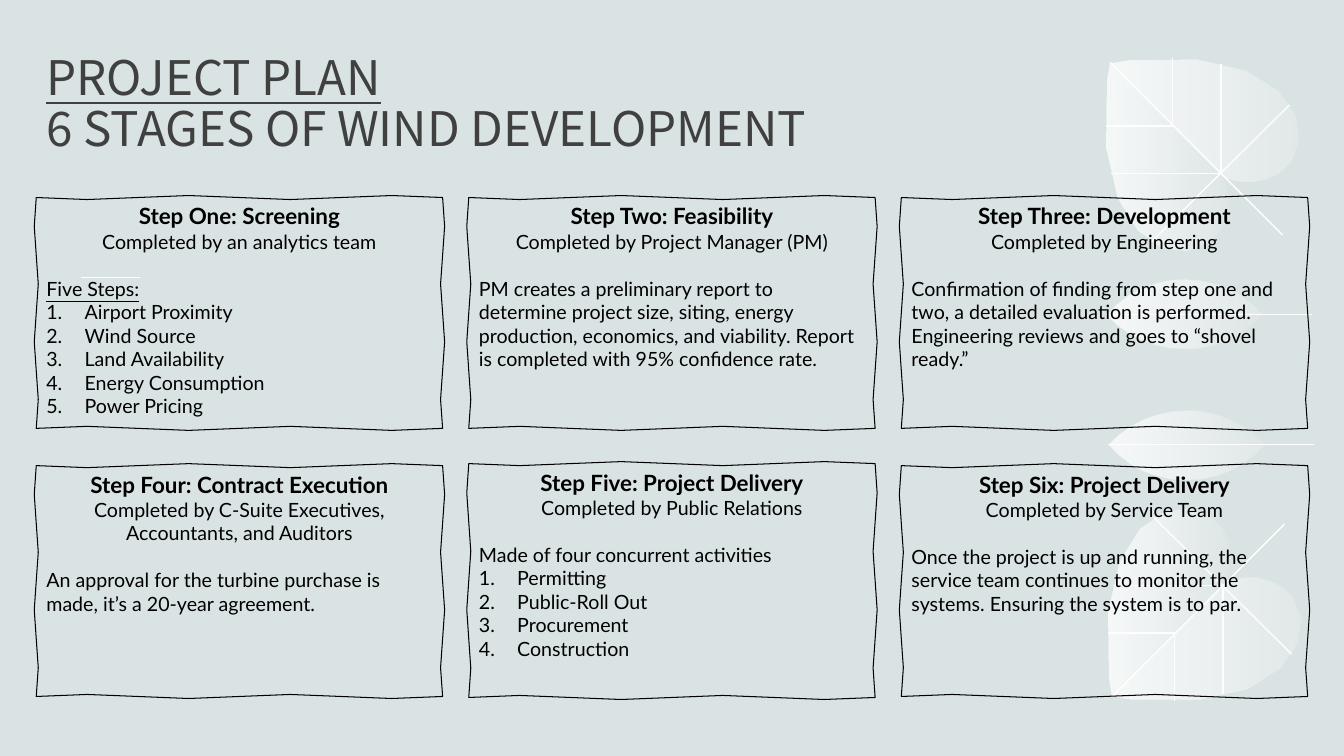
from math import pi, sin

from lxml.etree import SubElement as Sub
from pptx import Presentation
from pptx.dml.color import RGBColor
from pptx.enum.shapes import MSO_CONNECTOR as Link
from pptx.enum.text import MSO_ANCHOR as Anchor, MSO_AUTO_SIZE as Fit, PP_ALIGN as Align
from pptx.oxml.ns import qn
from pptx.util import Inches, Pt

PALE = RGBColor(0xDA, 0xE3, 0xE3)
WHITE = RGBColor(0xFF, 0xFF, 0xFF)
GREY = RGBColor(0x40, 0x40, 0x40)
BLACK = RGBColor(0, 0, 0)

VEINS = [
    (11.01, 0.62, 12.72, 2.33), (12.79, 1.04, 11.42, 2.4),
    (11.02, 1.72, 12.11, 1.72), (12.11, 1.72, 12.11, 0.64),
    (10.97, 1.25, 11.63, 1.25), (11.63, 1.25, 11.63, 0.58),
]
RIB = (10.97, 3.12, 13.01, 3.12)
BLADES = [
    (20, [(11.01, 0.63), (12.12, 1.74), (12.23, 1.78),
          (12.46, 1.83, 12.63, 1.77, 12.79, 1.61),
          (13.07, 1.24, 12.73, 0.44, 11.19, 0.6)]),
    (10, [(11.01, 0.62), (10.98, 0.8),
          (10.82, 2.34, 11.62, 2.69, 11.99, 2.4),
          (12.14, 2.3, 12.22, 2.1, 12.16, 1.84), (12.12, 1.74)]),
    (20, [(11.75, 2.77), (12.05, 2.77, 12.33, 2.9, 12.52, 3.12),
          (10.97, 3.12), (11.16, 2.9, 11.43, 2.77, 11.75, 2.77)]),
    (10, [(10.97, 3.12), (12.52, 3.12),
          (12.33, 3.33, 12.05, 3.46, 11.75, 3.46),
          (11.43, 3.46, 11.16, 3.33, 10.97, 3.12)]),
]
CARDS = [
    ("Step One: Screening", "Completed by an analytics team", "Five Steps:",
     ["Airport Proximity", "Wind Source", "Land Availability",
      "Energy Consumption", "Power Pricing"]),
    ("Step Two: Feasibility", "Completed by Project Manager (PM)",
     "PM creates a preliminary report to determine project size, siting, energy "
     "production, economics, and viability. Report is completed with 95% confidence rate.", []),
    ("Step Three: Development", "Completed by Engineering",
     "Confirmation of finding from step one and two, a detailed evaluation is performed. "
     "Engineering reviews and goes to “shovel ready.”", []),
    ("Step Four: Contract Execution",
     "Completed by C-Suite Executives, Accountants, and Auditors",
     "An approval for the turbine purchase is made, it’s a 20-year agreement.", []),
    ("Step Five: Project Delivery", "Completed by Public Relations",
     "Made of four concurrent activities",
     ["Permitting", "Public-Roll Out", "Procurement", "Construction"]),
    ("Step Six: Project Delivery", "Completed by Service Team",
     "Once the project is up and running, the service team continues to monitor "
     "the systems. Ensuring the system is to par.", []),
]


def trace(parts, steps=6):
    dots = []
    for part in parts:
        if len(part) == 2:
            dots.append(part)
            continue
        a, b, c, d = dots[-1], part[:2], part[2:4], part[4:]
        for i in range(1, steps + 1):
            t = i / steps
            u = 1 - t
            dots.append(tuple(
                u**3 * a[k] + 3 * u * u * t * b[k] + 3 * u * t * t * c[k] + t**3 * d[k]
                for k in (0, 1)))
    return dots


def frame(x, y, w, h, wave, steps=8):
    nodes = [(x, y), (x + w, y), (x + w, y + h), (x, y + h), (x, y)]
    dots = []
    for (ax, ay), (bx, by) in zip(nodes, nodes[1:]):
        for i in range(steps):
            t = i / steps
            off = wave * sin(4 * pi * t)
            dots.append((ax + (bx - ax) * t + (off if ax == bx else 0),
                         ay + (by - ay) * t + (off if ay == by else 0)))
    return dots


class Deck:
    font = "Lato"
    head = "Noto Sans CJK KR"
    wave = 0.02

    def __init__(self):
        self.prs = Presentation()
        self.prs.slide_width = Inches(13.33)
        self.prs.slide_height = Inches(7.5)
        self.slide = self.prs.slides.add_slide(self.prs.slide_layouts[5])
        self.slide.background.fill.solid()
        self.slide.background.fill.fore_color.rgb = PALE

    def title(self, top, low):
        box = self.slide.shapes.title
        box.left, box.top = Inches(0.36), Inches(0.42)
        box.width, box.height = Inches(12.61), Inches(1.19)
        text = box.text_frame
        text.auto_size = Fit.NONE
        text.vertical_anchor = Anchor.BOTTOM
        para = text.paragraphs[0]
        para.alignment = Align.LEFT
        para.line_spacing = 0.9
        run = para.add_run()
        run.text = top
        run.font.underline = True
        para.add_line_break()
        para.add_run().text = low
        self.ink(para, 34, GREY, self.head)

    def ink(self, para, size, color=BLACK, name=None):
        para.font.size = Pt(size)
        para.font.name = name or self.font
        para.font.color.rgb = color

    def line(self, ax, ay, bx, by):
        link = self.slide.shapes.add_connector(
            Link.STRAIGHT, Inches(ax), Inches(ay), Inches(bx), Inches(by))
        link.line.color.rgb = WHITE
        link.line.width = Pt(1)
        Sub(link._element.spPr, qn("a:effectLst"))

    def shape(self, dots):
        pts = [(Inches(x), Inches(y)) for x, y in dots]
        pen = self.slide.shapes.build_freeform(*pts[0])
        pen.add_line_segments(pts[1:], close=True)
        form = pen.convert_to_shape()
        form.shadow.inherit = False
        return form

    def blade(self, dots, fade):
        form = self.shape(dots)
        form.line.fill.background()
        form.fill.gradient()
        form.fill.gradient_angle = 0
        for stop in form.fill.gradient_stops:
            stop.color.rgb = WHITE
        for node, part in zip(form._element.spPr.iter(qn("a:srgbClr")), (80, fade)):
            Sub(node, qn("a:alpha")).set("val", str(part * 1000))

    def plant(self, flip):
        def turn(x, y):
            return (x + 0.02, 7.53 - y) if flip else (x, y)

        for vein in VEINS:
            self.line(*turn(*vein[:2]), *turn(*vein[2:]))
        for fade, parts in BLADES:
            self.blade([turn(*dot) for dot in trace(parts)], fade)
        self.line(*turn(*RIB[:2]), *turn(*RIB[2:]))

    def card(self, x, y, h, name, team, body, steps):
        form = self.shape(frame(x, y, 4.03, h, self.wave))
        form.fill.background()
        form.line.color.rgb = BLACK
        form.line.width = Pt(0.75)
        text = form.text_frame
        text.word_wrap = True
        text.vertical_anchor = Anchor.TOP
        text.margin_left = text.margin_right = Inches(0.1 + self.wave)
        text.margin_top = text.margin_bottom = Inches(0.05 + self.wave)
        for i, line in enumerate([name, team, body, *steps]):
            para = text.paragraphs[0] if i == 0 else text.add_paragraph()
            para.text = line
            para.alignment = Align.CENTER if i < 2 else Align.LEFT
            if i == 2:
                para.space_before = Pt(16.8)
            if i > 2:
                props = para._p.get_or_add_pPr()
                props.set("marL", str(Inches(0.38)))
                props.set("indent", str(-Inches(0.38)))
                Sub(props, qn("a:buFont")).set("typeface", "+mj-lt")
                Sub(props, qn("a:buAutoNum")).set("type", "arabicPeriod")
            self.ink(para, 14 if i else 16)
            para.font.bold = i == 0
            para.font.underline = line == "Five Steps:"


def main():
    deck = Deck()
    deck.title("PROJECT PLAN", "6 STAGES OF WIND DEVELOPMENT")
    for flip in (False, True):
        deck.plant(flip)
    deck.line(0.8, 2.75, 1.39, 2.75)
    for i, card in enumerate(CARDS):
        row, col = divmod(i, 3)
        y = 4.6 if i == 4 else (1.96, 4.62)[row]
        h = 2.32 if i == 4 else 2.29
        deck.card(0.36 + 4.29 * col, y, h, *card)
    deck.prs.save("out.pptx")


if __name__ == "__main__":
    main()
